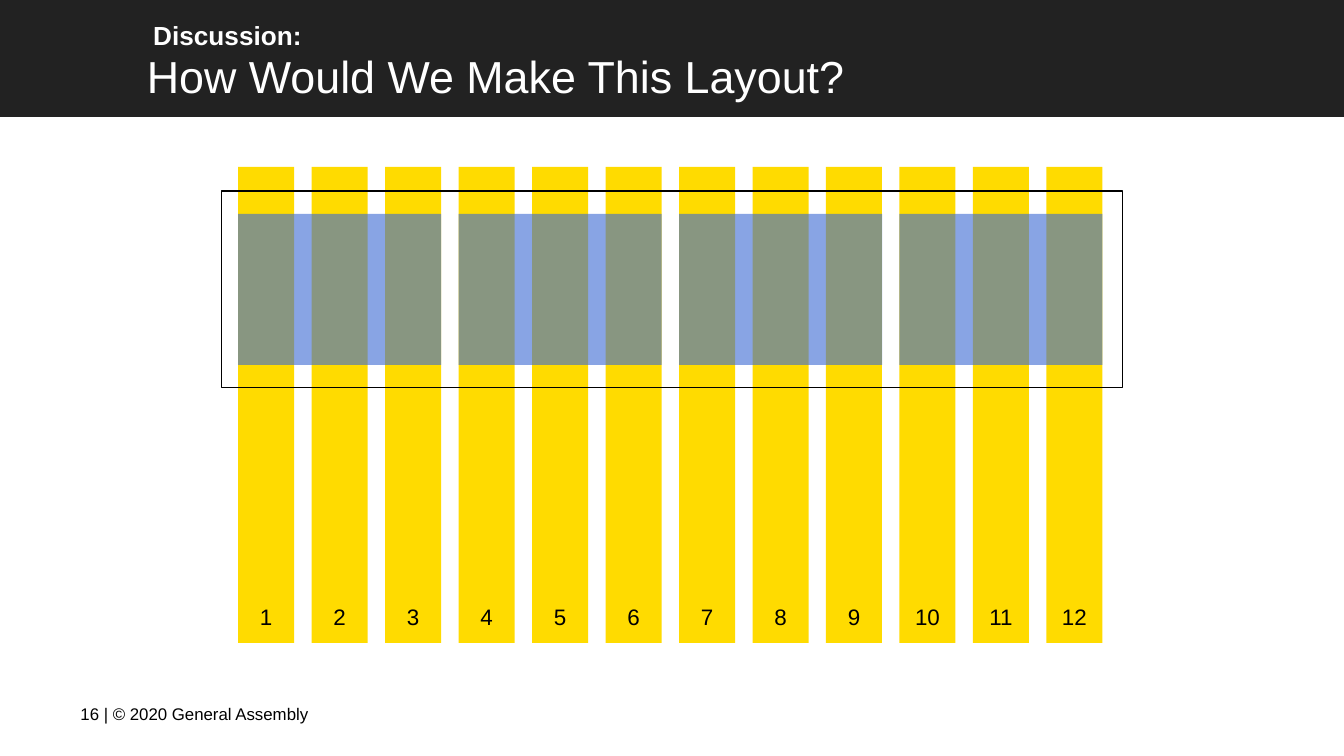
from collections import namedtuple

from lxml.etree import SubElement
from pptx import Presentation
from pptx.dml.color import RGBColor
from pptx.enum.shapes import MSO_SHAPE as Preset
from pptx.enum.text import MSO_ANCHOR as Anchor, MSO_AUTO_SIZE as AutoSize, PP_ALIGN as Align
from pptx.oxml.ns import qn
from pptx.util import Inches, Pt

BLACK = RGBColor(0x00, 0x00, 0x00)
WHITE = RGBColor(0xFF, 0xFF, 0xFF)
CHARCOAL = RGBColor(0x22, 0x22, 0x22)
YELLOW = RGBColor(0xFF, 0xDB, 0x00)
BLUE = RGBColor(0x3D, 0x6B, 0xD4)

FONT = "Arial"
SLIDE_WIDTH = Inches(10)
SLIDE_HEIGHT = SLIDE_WIDTH * 9 // 16
UNIT = SLIDE_WIDTH / 100
INSET = Inches(0.1)

COLUMN_COUNT = 12
COLUMN_WIDTH = 4.17
CARD_COUNT = 4
CARD_SPAN = COLUMN_COUNT // CARD_COUNT


class Box(namedtuple("Box", "left top width height")):
    """A rectangle measured in hundredths of the slide's width."""

    def inner(self, left, top, width, height):
        """Return a box offset from this box's top-left corner."""
        return Box(self.left + left, self.top + top, width, height)

    def lengths(self):
        """Return the position and size as slide lengths."""
        return [round(value * UNIT) for value in self]


def write(frame, text, size, color, bold=False, align=Align.LEFT, anchor=Anchor.TOP, side=INSET):
    """Write one formatted run into a text frame."""
    frame.word_wrap = True
    frame.auto_size = AutoSize.NONE
    frame.vertical_anchor = anchor
    frame.margin_left = frame.margin_right = side
    frame.margin_top = frame.margin_bottom = INSET
    paragraph = frame.paragraphs[0]
    paragraph.alignment = align
    run = paragraph.add_run()
    run.text = text
    run.font.name = FONT
    run.font.size = Pt(size)
    run.font.bold = bold
    run.font.color.rgb = color


def add_rectangle(slide, box, fill=None, line=None, opacity=100):
    """Add a flat rectangle with an optional fill, line and opacity."""
    rectangle = slide.shapes.add_shape(Preset.RECTANGLE, *box.lengths())
    rectangle.shadow.inherit = False
    if fill is None:
        rectangle.fill.background()
    else:
        rectangle.fill.solid()
        rectangle.fill.fore_color.rgb = fill
    if opacity < 100:
        tint = rectangle.element.spPr.find(qn("a:solidFill"))[0]
        SubElement(tint, qn("a:alpha"), val=str(opacity * 1000))
    if line is None:
        rectangle.line.fill.background()
    else:
        rectangle.line.color.rgb = line
        rectangle.line.width = Pt(0.75)
    return rectangle


def add_header(slide, box):
    """Place the dark banner, its kicker and the slide title."""
    banner = add_rectangle(slide, box, CHARCOAL)
    kicker = slide.shapes.add_textbox(*box.inner(10.42, 0.53, 24.3, 5).lengths())
    write(kicker.text_frame, "Discussion:", 14, WHITE, bold=True)
    title = slide.shapes.title
    title.left, title.top, title.width, title.height = box.inner(9.93, 2.7, 54.8, 5).lengths()
    write(title.text_frame, "How Would We Make This Layout?", 24, WHITE)
    for backdrop in (banner, kicker):
        title.element.addprevious(backdrop.element)


def add_footer(slide, box):
    """Place the page number and copyright line."""
    footer = slide.shapes.add_textbox(*box.lengths())
    write(footer.text_frame, "16 | © 2020 General Assembly", 9, BLACK, anchor=Anchor.MIDDLE)


def add_layout_grid(slide, box):
    """Place the numbered columns, the cards over them and the container outline."""
    pitch = (box.width - COLUMN_WIDTH) / (COLUMN_COUNT - 1)
    for index in range(COLUMN_COUNT):
        column = add_rectangle(slide, box.inner(index * pitch, 0, COLUMN_WIDTH, box.height), YELLOW)
        write(column.text_frame, str(index + 1), 12, BLACK,
              align=Align.CENTER, anchor=Anchor.BOTTOM, side=0)
    card_width = (CARD_SPAN - 1) * pitch + COLUMN_WIDTH
    for index in range(CARD_COUNT):
        card = box.inner(index * CARD_SPAN * pitch, 3.5, card_width, 11.24)
        add_rectangle(slide, card, BLUE, opacity=61)
    add_rectangle(slide, box.inner(-1.23, 1.78, 67.04, 14.64), line=BLACK)


def main():
    """Build the slide and save it."""
    deck = Presentation()
    deck.slide_width, deck.slide_height = SLIDE_WIDTH, SLIDE_HEIGHT
    slide = deck.slides.add_slide(deck.slide_layouts.get_by_name("Title Only"))
    add_header(slide, Box(0, -0.1, 100, 8.8))
    add_footer(slide, Box(5, 51, 25.9, 4.3))
    add_layout_grid(slide, Box(17.72, 12.42, 64.31, 35.42))
    deck.save("out.pptx")


if __name__ == "__main__":
    main()
